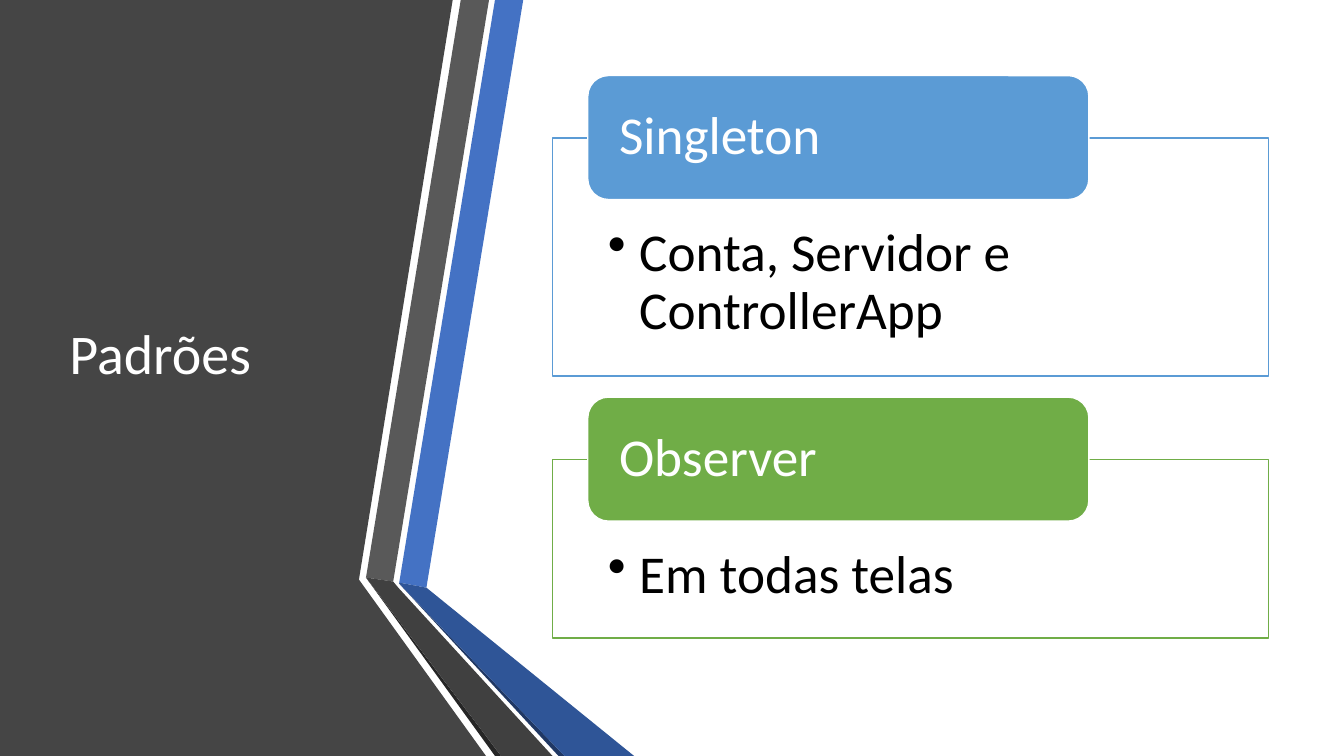
"""Build the slide on design patterns: a folded ribbon, a title and two captioned boxes."""
from lxml.etree import SubElement
from pptx import Presentation
from pptx.dml.color import RGBColor
from pptx.enum.shapes import MSO_SHAPE as Shape
from pptx.enum.text import MSO_ANCHOR as Anchor, PP_ALIGN as Align
from pptx.oxml.ns import qn
from pptx.util import Inches, Pt

COLORS = {
    "white": "FFFFFF", "black": "000000", "panel": "454545",
    "gray": "595959", "dark": "404040", "edge": "262626",
    "blue": "4472C4", "navy": "2F5597", "deep": "203864",
    "sky": "5B9BD5", "green": "70AD47",
}


def paint(shape, fill, line=None):
    shape.shadow.inherit = False
    shape.fill.solid()
    shape.fill.fore_color.rgb = RGBColor.from_string(COLORS[fill])
    if line:
        shape.line.color.rgb = RGBColor.from_string(COLORS[line])
        shape.line.width = Pt(1)
    else:
        shape.line.fill.background()


def write(shape, text, size, color, anchor, pads):
    frame = shape.text_frame
    frame.word_wrap = True
    frame.vertical_anchor = anchor
    frame.margin_left, frame.margin_top, frame.margin_right, frame.margin_bottom = map(Inches, pads)
    para = frame.paragraphs[0]
    para.alignment = Align.LEFT
    para.line_spacing = 0.9
    run = para.add_run()
    run.text = text
    run.font.size = Pt(size)
    run.font.name = "Calibri"
    run.font.color.rgb = RGBColor.from_string(COLORS[color])
    return para


deck = Presentation()
deck.slide_width, deck.slide_height = Inches(13.33), Inches(7.5)
slide = deck.slides.add_slide(deck.slide_layouts[6])
shapes = slide.shapes

ribbon = [
    ("panel", [(0, 0), (4.49, 0), (3.56, 5.75), (4.82, 7.5), (0, 7.5)]),
    ("blue", [(3.96, 5.78), (4.23, 5.83), (5.19, 0), (4.91, 0)]),
    ("gray", [(4.85, 0), (4.57, 0), (3.63, 5.73), (3.9, 5.77)]),
    ("edge", [(3.63, 5.73), (4.91, 7.5), (4.97, 7.5)]),
    ("deep", [(3.96, 5.79), (5.54, 7.5), (5.6, 7.5)]),
    ("navy", [(3.96, 5.78), (3.96, 5.79), (5.6, 7.5), (6.29, 7.5), (4.23, 5.83)]),
    ("dark", [(3.63, 5.73), (4.97, 7.5), (5.48, 7.5), (3.95, 5.83), (3.9, 5.77)]),
]
for color, points in ribbon:
    first, *rest = [(Inches(x), Inches(y)) for x, y in points]
    pen = shapes.build_freeform(*first)
    pen.add_line_segments(rest, close=True)
    paint(pen.convert_to_shape(), color)

title = shapes.add_textbox(Inches(0.59), Inches(0.75), Inches(3.04), Inches(5.58))
write(title, "Padrões", 40, "white", Anchor.MIDDLE, (0.1, 0.05, 0.1, 0.05))

cards = [
    ("Singleton", "Conta, Servidor e ControllerApp", "sky", 1.37, 2.36),
    ("Observer", "Em todas telas", "green", 4.56, 1.77),
]
for name, detail, color, top, height in cards:
    box = shapes.add_shape(Shape.RECTANGLE, Inches(5.48), Inches(top), Inches(7.1), Inches(height))
    paint(box, "white", color)
    para = write(box, detail, 38, "black", Anchor.TOP, (0.55, 0.87, 0.55, 0.3))
    props = para._p.get_or_add_pPr()
    props.set("marL", str(Inches(0.31)))
    props.set("indent", str(-Inches(0.31)))
    SubElement(props, qn("a:buChar")).set("char", "•")

    label = shapes.add_shape(
        Shape.ROUNDED_RECTANGLE, Inches(5.83), Inches(top - 0.62), Inches(4.97), Inches(1.23))
    paint(label, color, "white")
    write(label, name, 38, "white", Anchor.MIDDLE, (0.25, 0, 0.25, 0))

deck.save("out.pptx")
